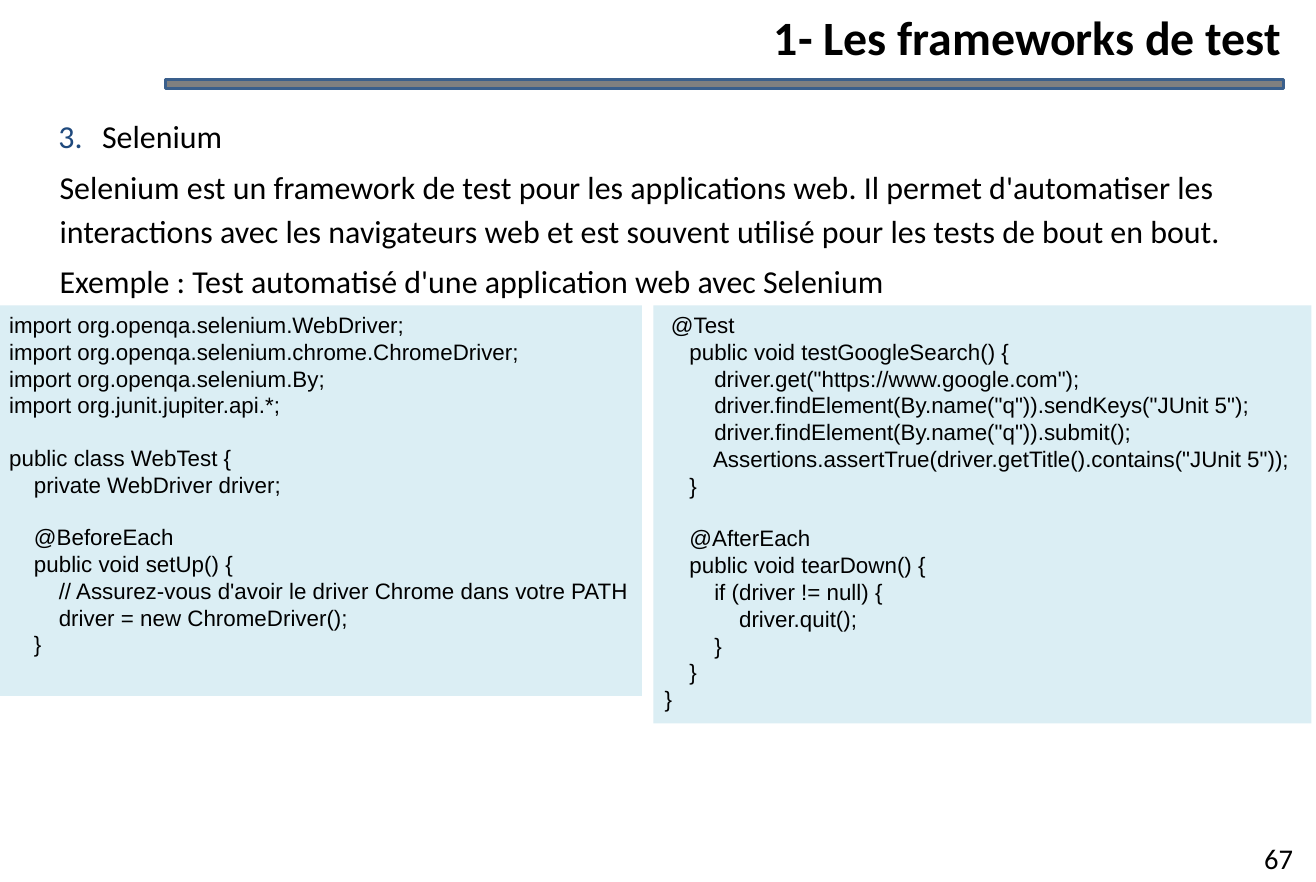
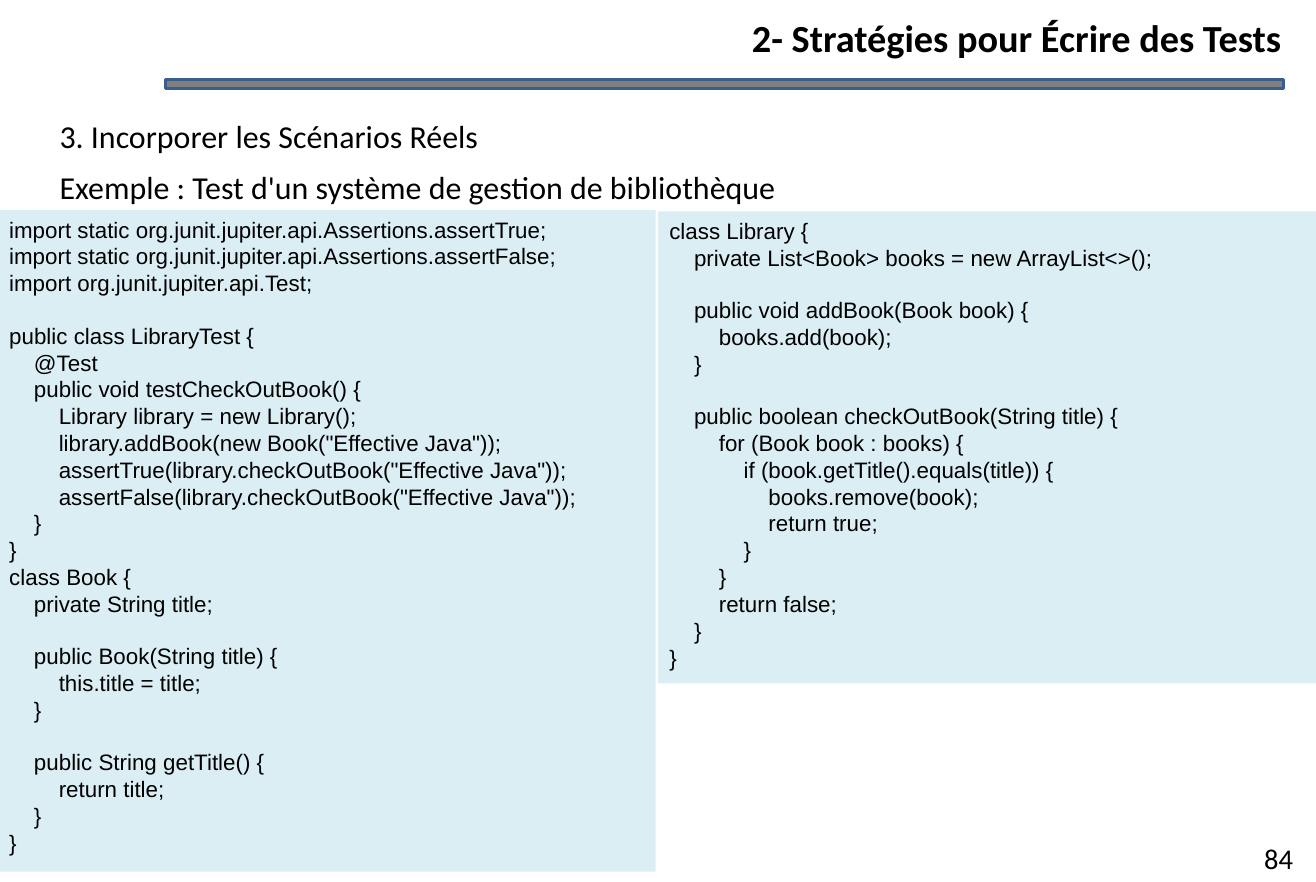
from lxml import etree
from pptx import Presentation
from pptx.dml.color import RGBColor
from pptx.enum.shapes import MSO_SHAPE
from pptx.enum.text import MSO_ANCHOR, MSO_AUTO_SIZE, PP_ALIGN
from pptx.oxml.ns import qn
from pptx.util import Inches, Pt

RECT = MSO_SHAPE.RECTANGLE
TOP, MIDDLE = MSO_ANCHOR.TOP, MSO_ANCHOR.MIDDLE
LEFT, CENTER, RIGHT = PP_ALIGN.LEFT, PP_ALIGN.CENTER, PP_ALIGN.RIGHT
NO_FIT = MSO_AUTO_SIZE.NONE

COLORS = {
    "text": "000000",
    "bar": "808080",
    "edge": "3A5F8C",
    "code": "DBEEF4",
    "number": "1F497D",
}
WIDE, HIGH = 11.46, 7.68
CODE_SIZE = 14
CODE_LINE = 16.1  # height of one code line, in points

# Content: code panels are (left, top, width, height, left inset, code)
SELENIUM_SETUP = """\
import org.openqa.selenium.WebDriver;
import org.openqa.selenium.chrome.ChromeDriver;
import org.openqa.selenium.By;
import org.junit.jupiter.api.*;

public class WebTest {
    private WebDriver driver;

    @BeforeEach
    public void setUp() {
        // Assurez-vous d'avoir le driver Chrome dans votre PATH
        driver = new ChromeDriver();
    }"""

SELENIUM_TEST = """\
 @Test
    public void testGoogleSearch() {
        driver.get("https://www.google.com");
        driver.findElement(By.name("q")).sendKeys("JUnit 5");
        driver.findElement(By.name("q")).submit();
        Assertions.assertTrue(driver.getTitle().contains("JUnit 5"));
    }

    @AfterEach
    public void tearDown() {
        if (driver != null) {
            driver.quit();
        }
    }
}"""

LIBRARY_TEST = """\
import static org.junit.jupiter.api.Assertions.assertTrue;
import static org.junit.jupiter.api.Assertions.assertFalse;
import org.junit.jupiter.api.Test;

public class LibraryTest {
    @Test
    public void testCheckOutBook() {
        Library library = new Library();
        library.addBook(new Book("Effective Java"));
        assertTrue(library.checkOutBook("Effective Java"));
        assertFalse(library.checkOutBook("Effective Java"));
    }
}
class Book {
    private String title;

    public Book(String title) {
        this.title = title;
    }

    public String getTitle() {
        return title;
    }
}"""

LIBRARY_CLASS = """\
class Library {
    private List<Book> books = new ArrayList<>();

    public void addBook(Book book) {
        books.add(book);
    }

    public boolean checkOutBook(String title) {
        for (Book book : books) {
            if (book.getTitle().equals(title)) {
                books.remove(book);
                return true;
            }
        }
        return false;
    }
}"""

SLIDES = [
    {
        "title": "1- Les frameworks de test",
        "size": 30,
        "page": "67",
        "start": 3,
        "body": [
            "Selenium",
            "Selenium est un framework de test pour les applications web. "
            "Il permet d'automatiser les interactions avec les navigateurs web "
            "et est souvent utilisé pour les tests de bout en bout.",
            "Exemple : Test automatisé d'une application web avec Selenium",
        ],
        "height": 1.75,
        "panels": [
            (0, 2.66, 5.59, 3.4, 0.08, SELENIUM_SETUP),
            (5.69, 2.66, 5.73, 3.64, 0.1, SELENIUM_TEST),
        ],
    },
    {
        "title": "2- Stratégies pour Écrire des Tests",
        "size": 24,
        "page": "84",
        "start": None,
        "body": [
            "3. Incorporer les Scénarios Réels",
            "Exemple : Test d'un système de gestion de bibliothèque",
        ],
        "height": 0.91,
        "panels": [
            (0, 1.83, 5.71, 5.76, 0.08, LIBRARY_TEST),
            (5.73, 1.84, 5.73, 4.11, 0.1, LIBRARY_CLASS),
        ],
    },
]


# Shared helpers
def rgb(name):
    return RGBColor.from_string(COLORS[name])


def place(shape, *box):
    shape.left, shape.top, shape.width, shape.height = map(Inches, box)


def style(par, size, font="Calibri", bold=False, align=LEFT):
    par.alignment = align
    for run in par.runs:
        run.font.name = font
        run.font.size = Pt(size)
        run.font.bold = bold
        run.font.color.rgb = rgb("text")


def add_rect(slide, box, fill, edge=None):
    rect = slide.shapes.add_shape(RECT, *map(Inches, box))
    rect.shadow.inherit = False
    rect.fill.solid()
    rect.fill.fore_color.rgb = rgb(fill)
    if edge:
        rect.line.color.rgb = rgb(edge)
        rect.line.width = Pt(2)
    else:
        rect.line.fill.background()
    return rect


def add_text(slide, *box):
    frame = slide.shapes.add_textbox(*map(Inches, box)).text_frame
    frame.word_wrap = True
    return frame


def indent(par, left, first=0):
    props = par._p.get_or_add_pPr()
    props.set("marL", str(Inches(left)))
    props.set("indent", str(Inches(first)))
    return props


def number(props, start):
    color = etree.SubElement(props, qn("a:buClr"))
    etree.SubElement(color, qn("a:srgbClr"), val=COLORS["number"])
    etree.SubElement(props, qn("a:buFont"), typeface="+mj-lt")
    etree.SubElement(props, qn("a:buAutoNum"), type="arabicPeriod",
                     startAt=str(start))


# Slide parts
def add_title(slide, text, size):
    title = slide.shapes.title
    place(title, 1.95, 0.07, 9.21, 0.5)
    frame = title.text_frame
    frame.text = text
    frame.auto_size = NO_FIT
    frame.vertical_anchor = MIDDLE
    frame.margin_left = frame.margin_right = 0
    frame.margin_top = frame.margin_bottom = 0
    style(frame.paragraphs[0], size, bold=True, align=RIGHT)


def add_page(slide, page):
    frame = add_text(slide, WIDE - 0.65, HIGH - 0.41, 0.65, 0.41)
    frame.text = page
    style(frame.paragraphs[0], 17.9, align=CENTER)


def add_body(slide, lines, height, start):
    frame = add_text(slide, 0.22, 0.92, 11.02, height)
    frame.text = "\n".join(lines)
    for i, par in enumerate(frame.paragraphs):
        if start and i == 0:
            number(indent(par, 0.57, -0.38), start)
        else:
            indent(par, 0.2)
        par.line_spacing = 1.15
        if i:
            par.space_before = Pt(4)
        style(par, 20)


def add_code(slide, left, top, width, height, inset, code):
    panel = add_rect(slide, (left, top, width, height), "code")
    frame = panel.text_frame
    frame.word_wrap = True
    frame.vertical_anchor = TOP
    frame.margin_left = Inches(inset)
    blocks = [block.split("\n") for block in code.split("\n\n")]
    frame.text = "\n".join(line for block in blocks for line in block)
    pars = iter(frame.paragraphs)
    for i, block in enumerate(blocks):
        for j in range(len(block)):
            par = next(pars)
            if i and j == 0:
                par.space_before = Pt(CODE_LINE)
            style(par, CODE_SIZE, "Arial")


def main():
    deck = Presentation()
    deck.slide_width, deck.slide_height = Inches(WIDE), Inches(HIGH)
    for item in SLIDES:
        slide = deck.slides.add_slide(deck.slide_layouts[5])
        add_rect(slide, (1.44, 0.69, 9.74, 0.08), "bar", "edge")
        add_title(slide, item["title"], item["size"])
        add_page(slide, item["page"])
        add_body(slide, item["body"], item["height"], item["start"])
        for panel in item["panels"]:
            add_code(slide, *panel)
    deck.save("out.pptx")


if __name__ == "__main__":
    main()
